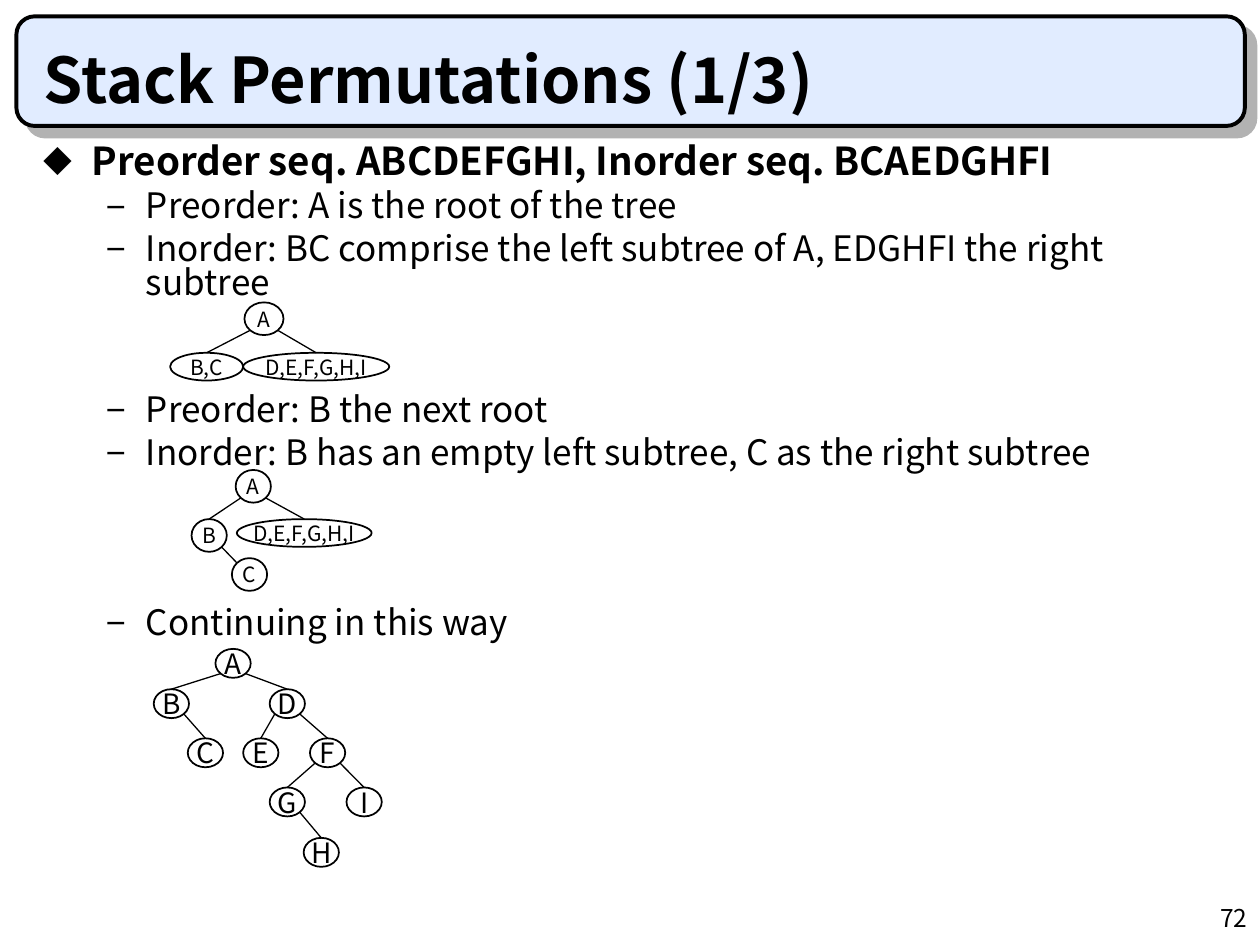
from dataclasses import dataclass

from lxml import etree
from pptx import Presentation
from pptx import util as u
from pptx.dml.color import RGBColor
from pptx.enum import shapes, text
from pptx.oxml.ns import qn

FONT = "Noto Sans CJK KR"
INK = "000000"
COLUMNS, ROWS = 100, 75  # square cells on a 10 by 7.5 inch slide
CELL = u.Inches(10) / COLUMNS
LINE, GAP = 19.3, 5  # body line height and paragraph gap, points
DIAGONAL = 0.354  # 45-degree point of an ellipse, as a share of its size


@dataclass
class Node:
    label: str
    left: float
    top: float
    width: float
    height: float
    parent: str = ""
    join_corner: bool = False  # edge ends at the upper corner, not the top

    @property
    def center(self) -> float:
        return self.left + self.width / 2

    def diagonal(self, side: int, vertical: int) -> tuple[float, float]:
        return (self.center + side * DIAGONAL * self.width,
                self.top + self.height * (0.5 + vertical * DIAGONAL))


@dataclass
class Tree:
    size: int
    nodes: list[Node]
    fill: str = ""


@dataclass
class Bullet:
    words: str
    level: int = 1
    rows_before: int = 0  # body lines left free for a tree


BULLETS = [
    Bullet("Preorder seq. ABCDEFGHI, Inorder seq. BCAEDGHFI", level=0),
    Bullet("Preorder: A is the root of the tree"),
    Bullet("Inorder: BC comprise the left subtree of A, EDGHFI the right subtree"),
    Bullet("Preorder: B the next root", rows_before=2),
    Bullet("Inorder: B has an empty left subtree, C as the right subtree"),
    Bullet("Continuing in this way", rows_before=3),
]

FINAL_NODES = [
    ("A", 17.1, 51.5, ""), ("B", 12.2, 54.7, "A"), ("C", 14.9, 58.6, "B"),
    ("D", 21.4, 54.7, "A"), ("E", 19.3, 58.6, "D"), ("F", 24.6, 58.6, "D"),
    ("G", 21.4, 62.5, "F"), ("I", 27.5, 62.5, "F"), ("H", 24.1, 66.5, "G"),
]

TREES = [
    Tree(12, [Node("A", 19.4, 24, 3.1, 2.6),
              Node("B,C", 13.5, 28, 5.8, 2.2, "A"),
              Node("D,E,F,G,H,I", 19.3, 28, 11.6, 2.2, "A")]),
    Tree(12, [Node("A", 18.7, 37.3, 2.8, 2.6),
              Node("D,E,F,G,H,I", 18.8, 41.2, 10.7, 2.2, "A"),
              Node("B", 15.2, 41.2, 2.8, 2.6, "A"),
              Node("C", 18.4, 44.3, 2.8, 2.6, "B", join_corner=True)]),
    Tree(16, [Node(label, left, top, 2.8, 2.3, parent)
              for label, left, top, parent in FINAL_NODES], "FFFFFF"),
]


def color(value: str) -> RGBColor:
    return RGBColor.from_string(value)


def cells(*counts: float) -> list[int]:
    return [round(count * CELL) for count in counts]


def add_run(paragraph, words: str, size: float, bold: bool = False) -> None:
    run = paragraph.add_run()
    run.text = words
    run.font.name = FONT
    run.font.size = u.Pt(size)
    run.font.bold = bold
    run.font.color.rgb = color(INK)


def set_frame(shape, anchor, wrap: bool, side: float = 0, edge: float = 0):
    frame = shape.text_frame
    frame.word_wrap = wrap
    frame.vertical_anchor = anchor
    frame.margin_left, frame.margin_right = cells(side, side)
    frame.margin_top, frame.margin_bottom = cells(edge, edge)
    return frame


def add_text_box(slide, box: tuple, anchor, edge: float = 0):
    return set_frame(slide.shapes.add_textbox(*cells(*box)), anchor, True, 1, edge)


def add_banner(slide) -> None:
    banner = slide.shapes.add_shape(shapes.MSO_SHAPE.ROUNDED_RECTANGLE,
                                    *cells(1.3, 1.3, 97.5, 8.7))
    banner.adjustments[0] = 0.167
    banner.fill.solid()
    banner.fill.fore_color.rgb = color("E1ECFF")
    banner.line.color.rgb = color(INK)
    banner.line.width = u.Pt(2.25)
    banner.shadow.inherit = False
    effects = banner._element.spPr.find(qn("a:effectLst"))
    shadow = etree.SubElement(effects, qn("a:outerShdw"), blurRad="0",
                              dist=str(u.Pt(8.5)), dir="2700000",
                              algn="ctr", rotWithShape="0")
    etree.SubElement(shadow, qn("a:srgbClr"), val="B2B2B2")


def add_bullet(paragraph, bullet: Bullet, first: bool) -> None:
    heading = bullet.level == 0
    margin, hang = (3.8, 3.8) if heading else (8.1, 3.1)
    properties = paragraph._p.get_or_add_pPr()
    properties.set("marL", str(cells(margin)[0]))
    properties.set("indent", str(-cells(hang)[0]))
    paragraph.level = bullet.level
    paragraph.line_spacing = u.Pt(23.5 if heading else LINE)
    paragraph.space_before = u.Pt(
        0 if first else GAP + bullet.rows_before * (LINE + GAP))
    tint = etree.SubElement(properties, qn("a:buClr"))
    etree.SubElement(tint, qn("a:srgbClr"), val=INK)
    etree.SubElement(properties, qn("a:buSzPct"), val="75000" if heading else "100000")
    etree.SubElement(properties, qn("a:buFont"), typeface=FONT)
    etree.SubElement(properties, qn("a:buChar"), char="◆" if heading else "−")
    add_run(paragraph, bullet.words, 22 if heading else 20, heading)


def add_node(group, node: Node, tree: Tree) -> None:
    shape = group.shapes.add_shape(
        shapes.MSO_SHAPE.OVAL, *cells(node.left, node.top, node.width, node.height))
    shape.shadow.inherit = False
    if tree.fill:
        shape.fill.solid()
        shape.fill.fore_color.rgb = color(tree.fill)
    else:
        shape.fill.background()
    shape.line.color.rgb = color(INK)
    shape.line.width = u.Pt(1)
    paragraph = set_frame(shape, text.MSO_ANCHOR.MIDDLE, False).paragraphs[0]
    paragraph.alignment = text.PP_ALIGN.CENTER
    add_run(paragraph, node.label, tree.size)


def add_edge(group, parent: Node, child: Node) -> None:
    side = 1 if child.center > parent.center else -1
    start = parent.diagonal(side, 1)
    end = child.diagonal(-side, -1) if child.join_corner else (child.center, child.top)
    edge = group.shapes.add_connector(shapes.MSO_CONNECTOR.STRAIGHT,
                                      *cells(*start, *end))
    edge.line.color.rgb = color(INK)
    edge.line.width = u.Pt(0.75)
    etree.SubElement(edge._element.spPr, qn("a:effectLst"))


def add_tree(slide, tree: Tree) -> None:
    group = slide.shapes.add_group_shape()
    by_label = {node.label: node for node in tree.nodes}
    for node in tree.nodes:
        add_node(group, node, tree)
    for node in tree.nodes:
        if node.parent:
            add_edge(group, by_label[node.parent], node)


def main() -> None:
    presentation = Presentation()
    presentation.slide_width, presentation.slide_height = cells(COLUMNS, ROWS)
    slide = presentation.slides.add_slide(presentation.slide_layouts[6])

    # Title banner and page number
    add_banner(slide)
    number = add_text_box(slide, (79.2, 71.7, 20.8, 3.3), text.MSO_ANCHOR.TOP)
    number.paragraphs[0].alignment = text.PP_ALIGN.RIGHT
    add_run(number.paragraphs[0], "72", 14)
    title = add_text_box(slide, (2.5, 1.9, 94.2, 7.3), text.MSO_ANCHOR.BOTTOM)
    add_run(title.paragraphs[0], "Stack Permutations (1/3)", 36, True)

    # Bulleted steps
    body = add_text_box(slide, (2.5, 10.8, 94.2, 41.6), text.MSO_ANCHOR.TOP, 0.5)
    for index, bullet in enumerate(BULLETS):
        paragraph = body.add_paragraph() if index else body.paragraphs[0]
        add_bullet(paragraph, bullet, index == 0)

    # Tree after each step
    for tree in TREES:
        add_tree(slide, tree)

    presentation.save("out.pptx")


if __name__ == "__main__":
    main()
